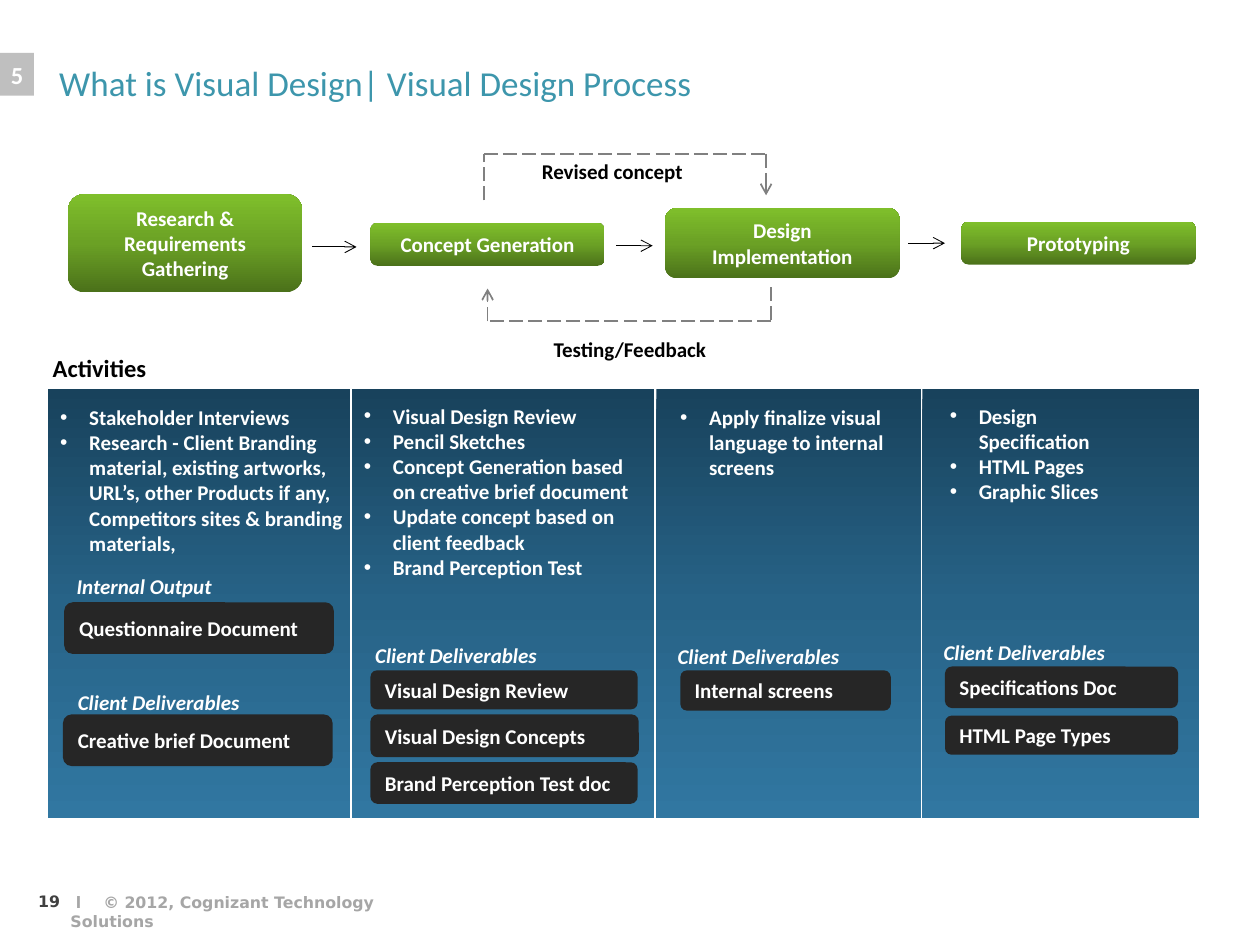
from copy import deepcopy

from pptx import Presentation
from pptx import util as u
from pptx.dml.color import RGBColor
from pptx.enum import dml, shapes, text
from pptx.oxml import ns, xmlchemy

Inches = u.Inches
LEFT, CENTER = text.PP_ALIGN.LEFT, text.PP_ALIGN.CENTER
TOP, MIDDLE = text.MSO_ANCHOR.TOP, text.MSO_ANCHOR.MIDDLE


def color(value):
    return RGBColor.from_string(value)


def add_element(parent, tag, **attributes):
    element = xmlchemy.OxmlElement(tag)
    for name, value in attributes.items():
        element.set(name, value)
    parent.append(element)
    return element


def write(frame, content, size=12, font="Calibri", fill="FFFFFF", bold=True, italic=False,
          align=LEFT, anchor=TOP, insets=(0.1, 0.05, 0.1, 0.05), bullet=False):
    frame.word_wrap = True
    frame.auto_size = text.MSO_AUTO_SIZE.NONE
    frame.vertical_anchor = anchor
    frame.margin_left, frame.margin_top, frame.margin_right, frame.margin_bottom = map(Inches, insets)
    lines = [content] if isinstance(content, str) else content
    for index, line in enumerate(lines):
        paragraph = frame.add_paragraph() if index else frame.paragraphs[0]
        paragraph.alignment = align
        if bullet:
            properties = paragraph._p.get_or_add_pPr()
            properties.set("marL", str(Inches(0.23)))
            properties.set("indent", str(-Inches(0.23)))
            add_element(properties, "a:buFont", typeface="Arial")
            add_element(properties, "a:buChar", char="•")
        run = paragraph.add_run()
        run.text = line
        run.font.size = u.Pt(size)
        run.font.name = font
        run.font.bold = bold
        run.font.italic = italic
        run.font.color.rgb = color(fill)


class ProcessSlide:
    blue = ("18425C", "276387", "3177A1")
    green = ("4B711A", "6BA125", "7FBF2B")
    dark, grey, dash_grey, black = "262626", "BFBFBF", "808080", "000000"

    def __init__(self, presentation):
        self.slide = presentation.slides.add_slide(presentation.slide_layouts[5])

    def title(self, content):
        title = self.slide.shapes.title
        title.left, title.top, title.width, title.height = map(Inches, (0.47, 0.44, 6, 0.54))
        write(title.text_frame, content, size=20, fill="3D96AC", bold=False, insets=(0, 0.05, 0, 0.05))

    def text(self, box, content, **style):
        shape = self.slide.shapes.add_textbox(*map(Inches, box))
        write(shape.text_frame, content, **style)

    def block(self, box, fill, content=None, rounded=False, angle=270, **style):
        kind = shapes.MSO_SHAPE.ROUNDED_RECTANGLE if rounded else shapes.MSO_SHAPE.RECTANGLE
        shape = self.slide.shapes.add_shape(kind, *map(Inches, box))
        shape.shadow.inherit = False
        shape.line.fill.background()
        if isinstance(fill, str):
            shape.fill.solid()
            shape.fill.fore_color.rgb = color(fill)
        else:
            self.gradient(shape, fill, angle)
        if content:
            write(shape.text_frame, content, anchor=MIDDLE, **style)

    def gradient(self, shape, colors, angle):
        shape.fill.gradient()
        shape.fill.gradient_angle = angle
        stops = shape._element.spPr.find(ns.qn("a:gradFill")).find(ns.qn("a:gsLst"))
        stops.insert(1, deepcopy(stops[0]))
        for stop, position, value in zip(shape.fill.gradient_stops, (0, 0.5, 1), colors):
            stop.position = position
            stop.color.rgb = color(value)

    def step(self, box, content):
        self.block(box, self.green, content, rounded=True, angle=90, align=CENTER)

    def document(self, box, content):
        self.block(box, self.dark, content, rounded=True)

    def label(self, left, top, content):
        self.text((left, top, 1.8, 0.3), content, italic=True)

    def line(self, start, end, fill, width, dashed=False, arrow=False):
        connector = self.slide.shapes.add_connector(
            shapes.MSO_CONNECTOR.STRAIGHT, *map(Inches, start + end))
        connector.line.color.rgb = color(fill)
        connector.line.width = u.Pt(width)
        if dashed:
            connector.line.dash_style = dml.MSO_LINE.LONG_DASH
        if arrow:
            add_element(connector.line._get_or_add_ln(), "a:tailEnd", type="arrow")
        add_element(connector._element.spPr, "a:effectLst")

    def loop(self, points):
        last = len(points) - 2
        for index, (start, end) in enumerate(zip(points, points[1:])):
            self.line(start, end, self.dash_grey, 1, dashed=True, arrow=index == last)


def main():
    presentation = Presentation()
    presentation.slide_width, presentation.slide_height = Inches(10), Inches(7.5)
    page = ProcessSlide(presentation)
    page.title("What is Visual Design| Visual Design Process")
    page.block((0, 0.42, 0.27, 0.34), page.grey, "5", size=14, align=CENTER, insets=(0, 0, 0, 0))

    for box, content in (
        ((0.54, 1.54, 1.86, 0.78), "Research & Requirements Gathering"),
        ((2.94, 1.77, 1.86, 0.34), "Concept Generation"),
        ((5.28, 1.65, 1.86, 0.56), "Design Implementation"),
        ((7.63, 1.76, 1.86, 0.34), "Prototyping"),
    ):
        page.step(box, content)
    for left, right, y in ((2.48, 2.83, 1.96), (4.89, 5.18, 1.95), (7.21, 7.5, 1.93)):
        page.line((left, y), (right, y), page.black, 0.5, arrow=True)

    page.loop([(3.84, 1.59), (3.84, 1.22), (6.08, 1.22), (6.08, 1.55)])
    page.loop([(6.12, 2.28), (6.12, 2.55), (3.87, 2.55), (3.87, 2.29)])
    page.text((4.06, 1.21, 1.6, 0.3), "Revised concept", fill=page.black, align=CENTER)
    page.text((4.2, 2.62, 1.6, 0.3), "Testing/Feedback", fill=page.black, align=CENTER)
    page.text((0.32, 2.75, 1.2, 0.34), "Activities", size=14, fill=page.black)

    columns = (
        (0.38, 2.4, (0.38, 3.16, 2.46, 1.31), (
            "Stakeholder Interviews",
            "Research - Client Branding material, existing artworks, URL’s, other Products "
            "if any, Competitors sites & branding materials,")),
        (2.79, 2.4, (2.79, 3.15, 2.38, 1.51), (
            "Visual Design Review",
            "Pencil Sketches",
            "Concept Generation based on creative brief document",
            "Update concept based on client feedback",
            "Brand Perception Test")),
        (5.21, 2.1, (5.3, 3.16, 2.1, 0.71), (
            "Apply finalize visual language to internal screens",)),
        (7.32, 2.2, (7.44, 3.15, 1.7, 0.91), (
            "Design Specification", "HTML Pages", "Graphic Slices")),
    )
    for left, width, box, activities in columns:
        page.block((left, 3.09, width, 3.4), page.blue)
        page.text(box, activities, bullet=True)

    page.label(0.51, 4.5, "Internal Output")
    for left, top in ((0.52, 5.42), (2.88, 5.05), (5.28, 5.06), (7.39, 5.03)):
        page.label(left, top, "Client Deliverables")
    for box, content in (
        ((0.51, 4.78, 2.14, 0.41), "Questionnaire Document"),
        ((0.5, 5.67, 2.14, 0.41), "Creative brief Document"),
        ((2.94, 5.32, 2.12, 0.31), "Visual Design Review"),
        ((2.94, 5.67, 2.13, 0.34), "Visual Design Concepts"),
        ((2.94, 6.05, 2.12, 0.33), "Brand Perception Test doc"),
        ((5.4, 5.32, 1.67, 0.32), "Internal screens"),
        ((7.5, 5.29, 1.85, 0.33), "Specifications Doc"),
        ((7.5, 5.68, 1.85, 0.31), "HTML Page Types"),
    ):
        page.document(box, content)

    footer = {"size": 9, "font": "DejaVu Sans"}
    page.text((0.26, 7.08, 0.26, 0.24), "19", fill="404040", align=CENTER, insets=(0, 0, 0, 0), **footer)
    page.text((0.56, 7.04, 2.76, 0.36), " l    © 2012, Cognizant Technology Solutions",
              fill="A6A6A6", insets=(0, 0.05, 0, 0), **footer)
    presentation.save("out.pptx")


if __name__ == "__main__":
    main()
